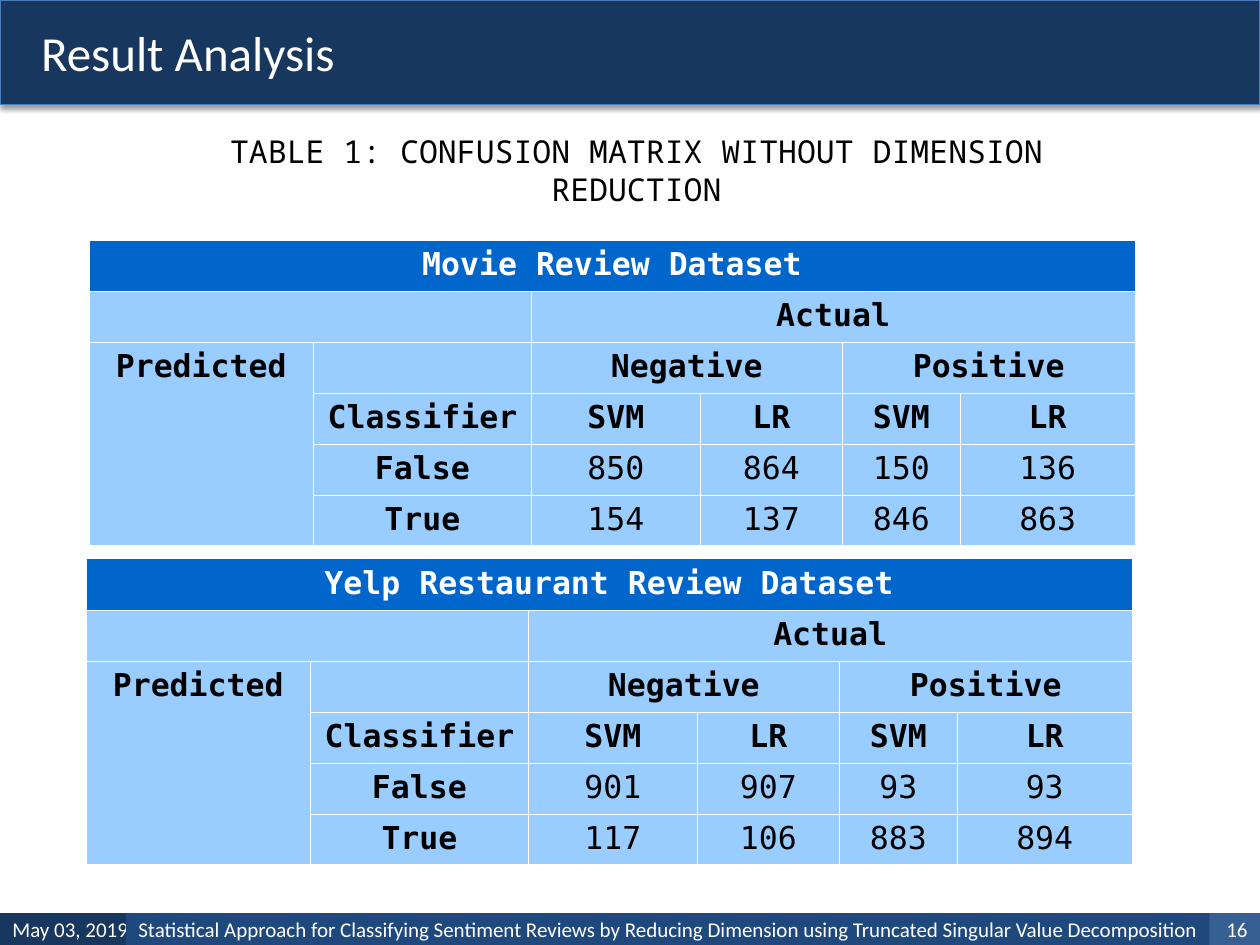
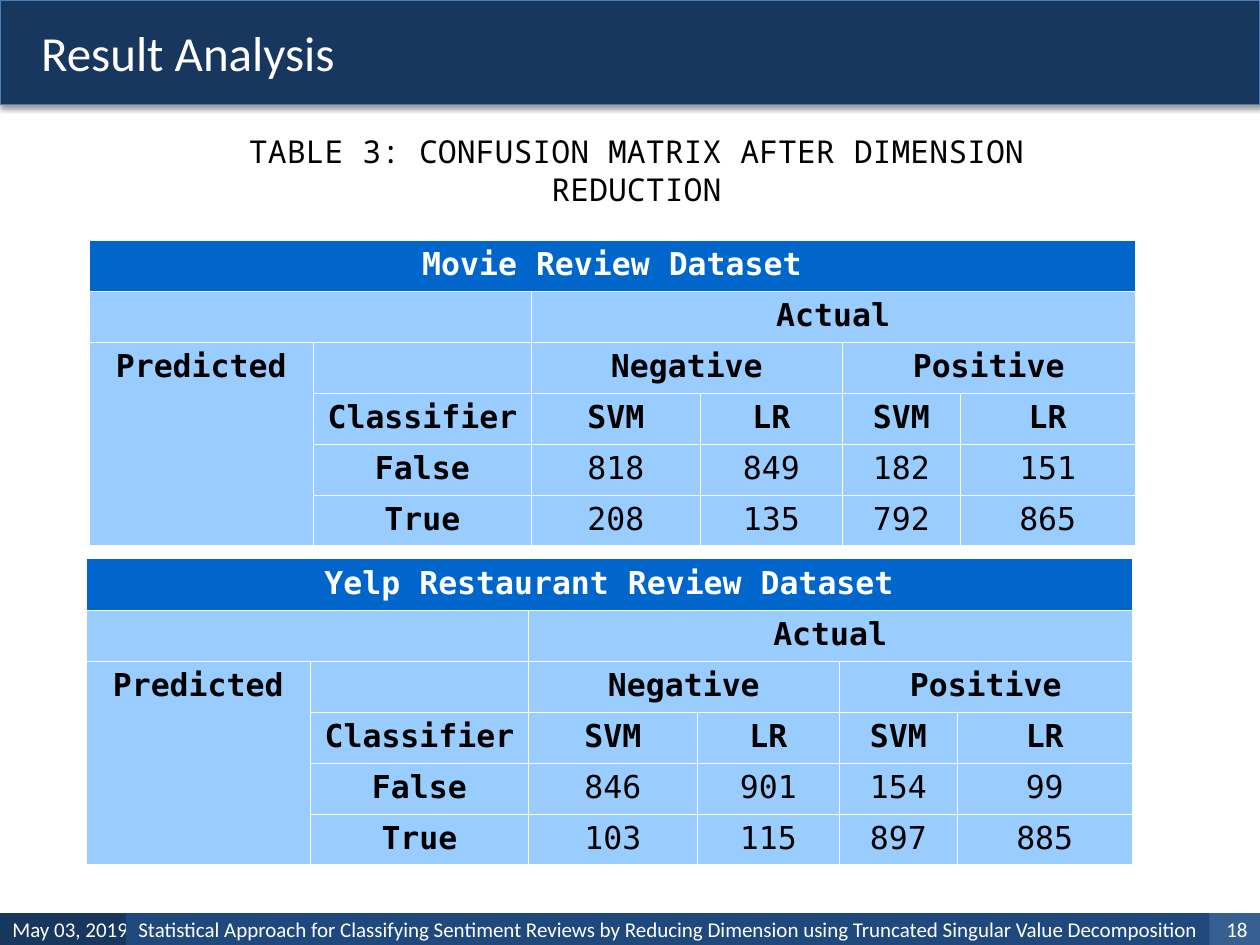
from lxml import etree
from pptx import Presentation
from pptx import util as u
from pptx.dml.color import RGBColor
from pptx.enum import shapes, text
from pptx.oxml import ns

NAVY = RGBColor(0x17, 0x37, 0x5E)
BLUE = RGBColor(0x1F, 0x49, 0x7D)
STEEL = RGBColor(0x37, 0x60, 0x92)
EDGE = RGBColor(0x4A, 0x7E, 0xBB)
HEADER = RGBColor(0x00, 0x66, 0xCC)
BODY = RGBColor(0x99, 0xCC, 0xFF)
WHITE = RGBColor(0xFF, 0xFF, 0xFF)
BLACK = RGBColor(0x00, 0x00, 0x00)

SANS = "Calibri"
CAPTION_FONT = "Noto Sans Mono"
TABLE_FONT = "DejaVu Sans Mono"

WIDTH, HEIGHT = 25.4, 19.05
FOOTER_HEIGHT = 0.64
FOOTER_TOP = HEIGHT - FOOTER_HEIGHT
TALK = ("Statistical Approach for Classifying Sentiment Reviews by Reducing "
        "Dimension using Truncated Singular Value Decomposition")

COLUMNS = (4.53, 4.39, 3.41, 2.86, 2.38, 3.52)
ROWS = (1.03,) * 5 + (0.97,)
SPANS = (
    (0, 0, 0, 5), (1, 0, 1, 1), (1, 2, 1, 5),
    (2, 0, 5, 0), (2, 2, 2, 3), (2, 4, 2, 5),
)
DATASETS = (
    ("Movie Review Dataset", 1.79, 4.83),
    ("Yelp Restaurant Review Dataset", 1.73, 11.26),
)
RESULTS = (
    ("TABLE 1: CONFUSION MATRIX WITHOUT DIMENSION REDUCTION", 16, (
        ((850, 864, 150, 136), (154, 137, 846, 863)),
        ((901, 907, 93, 93), (117, 106, 883, 894)),
    )),
    ("TABLE 3: CONFUSION MATRIX AFTER DIMENSION REDUCTION", 18, (
        ((818, 849, 182, 151), (208, 135, 792, 865)),
        ((846, 901, 154, 99), (103, 115, 897, 885)),
    )),
)


def write(frame, words, size, font, color, align, bold=False):
    frame.text = words
    paragraph = frame.paragraphs[0]
    paragraph.alignment = align
    for run in paragraph.runs:
        run.font.size = u.Pt(size)
        run.font.name = font
        run.font.bold = bold
        run.font.color.rgb = color


def add_band(slide, left, top, width, height, fill, words, size=12,
             align=text.PP_ALIGN.LEFT):
    band = slide.shapes.add_shape(
        shapes.MSO_SHAPE.RECTANGLE,
        u.Cm(left), u.Cm(top), u.Cm(width), u.Cm(height))
    band.shadow.inherit = False
    band.fill.solid()
    band.fill.fore_color.rgb = fill
    band.line.fill.background()
    band.text_frame.vertical_anchor = text.MSO_ANCHOR.MIDDLE
    write(band.text_frame, words, size, SANS, WHITE, align)
    return band


def add_title(slide, words):
    band = add_band(slide, 0, 0, WIDTH, 2.11, NAVY, words, 28)
    band.text_frame.margin_left = u.Cm(0.83)
    band.line.color.rgb = EDGE
    band.line.width = u.Pt(0.75)
    effects = band._element.spPr.find(ns.qn("a:effectLst"))
    shadow = etree.SubElement(effects, ns.qn("a:outerShdw"), blurRad="40000",
                              dist="20000", dir="5400000", rotWithShape="0")
    shade = etree.SubElement(shadow, ns.qn("a:srgbClr"), val=str(BLACK))
    etree.SubElement(shade, ns.qn("a:alpha"), val="38000")


def add_footer(slide, number):
    parts = (
        (0, 3.05, NAVY, "May 03, 2019", text.PP_ALIGN.LEFT),
        (2.54, 22.1, BLUE, TALK, text.PP_ALIGN.JUSTIFY),
        (24.38, 1.02, STEEL, str(number), text.PP_ALIGN.RIGHT),
    )
    for left, width, fill, words, align in parts:
        add_band(slide, left, FOOTER_TOP, width, FOOTER_HEIGHT, fill, words,
                 align=align)


def add_caption(slide, words):
    caption = slide.shapes.add_textbox(u.Cm(3.05), u.Cm(2.54), u.Cm(19.56), u.Cm(1.09))
    caption.text_frame.word_wrap = True
    write(caption.text_frame, words, 18, CAPTION_FONT, BLACK, text.PP_ALIGN.CENTER)


def add_borders(cell):
    properties = cell._tc.get_or_add_tcPr()
    for position, side in enumerate(("a:lnL", "a:lnR", "a:lnT", "a:lnB")):
        border = etree.Element(ns.qn(side), w="762")
        fill = etree.SubElement(border, ns.qn("a:solidFill"))
        etree.SubElement(fill, ns.qn("a:srgbClr"), val=str(WHITE))
        properties.insert(position, border)


def add_matrix(slide, dataset, left, top, counts):
    false_counts, true_counts = counts
    content = (
        (dataset, "", "", "", "", ""),
        ("", "", "Actual", "", "", ""),
        ("Predicted", "", "Negative", "", "Positive", ""),
        ("", "Classifier", "SVM", "LR", "SVM", "LR"),
        ("", "False", *false_counts),
        ("", "True", *true_counts),
    )
    matrix = slide.shapes.add_table(
        len(ROWS), len(COLUMNS), u.Cm(left), u.Cm(top),
        u.Cm(sum(COLUMNS)), u.Cm(sum(ROWS))).table
    for column, width in zip(matrix.columns, COLUMNS):
        column.width = u.Cm(width)
    for row, height in zip(matrix.rows, ROWS):
        row.height = u.Cm(height)
    for r, values in enumerate(content):
        for c, value in enumerate(values):
            cell = matrix.cell(r, c)
            cell.fill.solid()
            cell.fill.fore_color.rgb = BODY if r else HEADER
            add_borders(cell)
            if value != "":
                write(cell.text_frame, str(value), 18, TABLE_FONT,
                      BLACK if r else WHITE, text.PP_ALIGN.CENTER,
                      bold=isinstance(value, str))
    for first_row, first_column, last_row, last_column in SPANS:
        matrix.cell(first_row, first_column).merge(
            matrix.cell(last_row, last_column))


def main():
    deck = Presentation()
    deck.slide_width, deck.slide_height = u.Cm(WIDTH), u.Cm(HEIGHT)
    for caption, number, matrices in RESULTS:
        slide = deck.slides.add_slide(deck.slide_layouts[6])
        add_title(slide, "Result Analysis")
        add_footer(slide, number)
        add_caption(slide, caption)
        for (dataset, left, top), counts in zip(DATASETS, matrices):
            add_matrix(slide, dataset, left, top, counts)
    deck.save("out.pptx")


if __name__ == "__main__":
    main()
